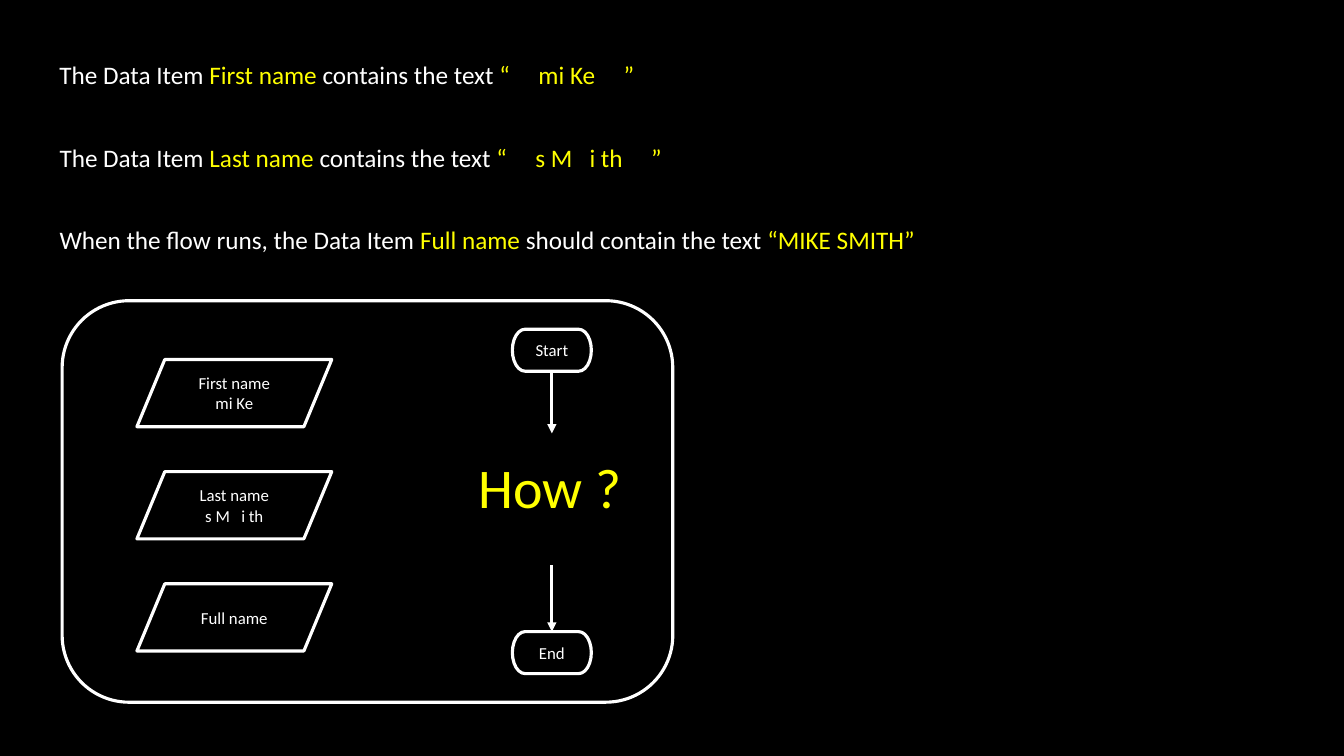
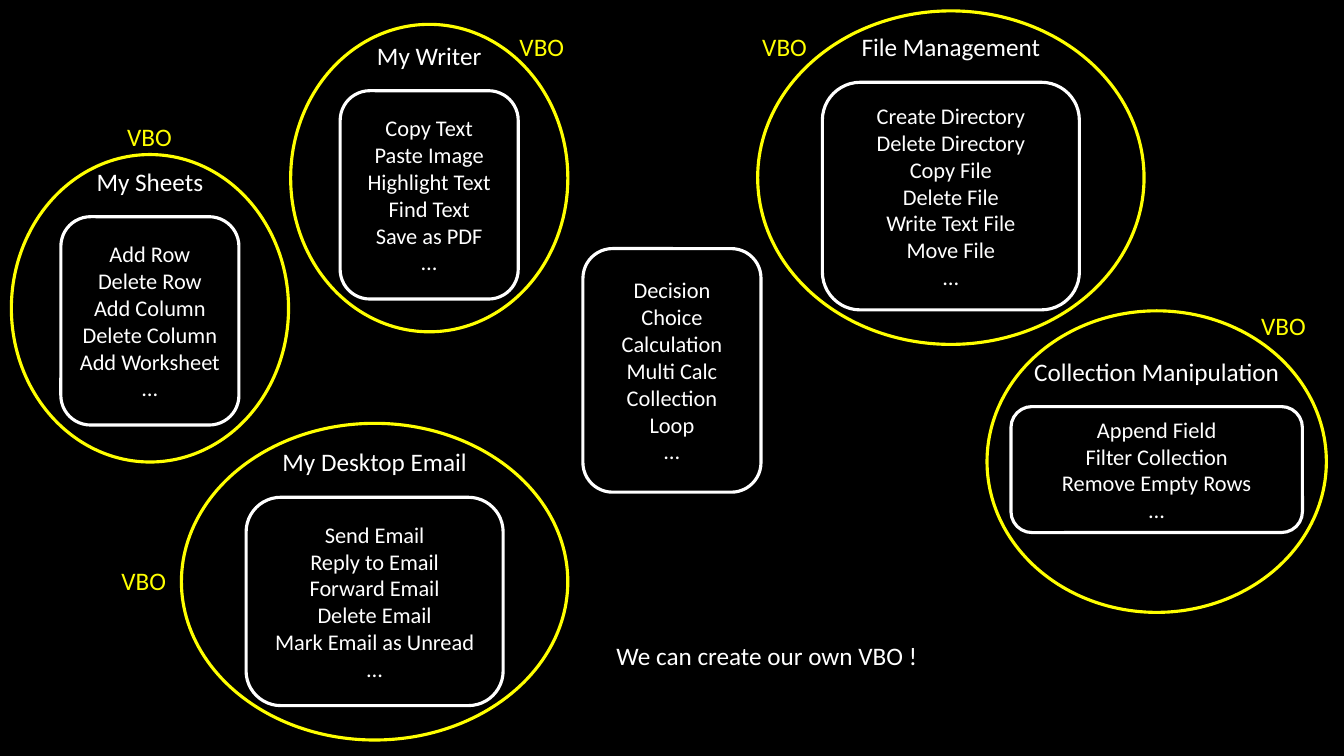
"""Build two dark slides: a text puzzle flow and a map of VBO actions."""
from dataclasses import dataclass

from lxml.etree import SubElement as Sub
from pptx import Presentation
from pptx.dml.color import RGBColor as Color
from pptx.enum.shapes import MSO_CONNECTOR as Link, MSO_SHAPE as Kind
from pptx.enum.text import MSO_ANCHOR as Anchor, MSO_AUTO_SIZE as Fit, PP_ALIGN as Align
from pptx.oxml.ns import qn
from pptx.util import Inches, Pt


@dataclass(frozen=True)
class Theme:
    back: Color = Color(0, 0, 0)
    main: Color = Color(255, 255, 255)
    glow: Color = Color(255, 255, 0)
    font: str = "Calibri"
    small: int = 12
    list: int = 16
    body: int = 18
    huge: int = 40
    line: float = 2.25


THEME = Theme()
WIDTH, HEIGHT = Inches(13.33), Inches(7.5)
COLS, ROWS = 160, 90
ROW = 4.8
PAD = " " * 5
FIRST, LAST = "mi Ke", "s M   i th"

GROUPS = [
    dict(title="My Sheets", mid=17.85, top=25.8, size=(21.2, 24.8),
         ring=(18.4, 33, 36.6), tag=(13.9, 13.9),
         acts=["Add Row", "Delete Row", "Add Column", "Delete Column", "Add Worksheet"]),
    dict(title="My Writer", mid=51.1, top=10.8, size=(21.2, 24.8),
         ring=(2.9, 33, 36.6), tag=(60.6, 3.2),
         acts=["Copy Text", "Paste Image", "Highlight Text", "Find Text", "Save as PDF"]),
    dict(title="My Desktop Email", mid=44.6, top=59.2, size=(30.6, 24.8),
         ring=(50.4, 46, 37.7), tag=(13.2, 66.7),
         acts=["Send Email", "Reply to Email", "Forward Email", "Delete Email",
               "Mark Email as Unread"]),
    dict(title="File Management", mid=113.2, top=9.8, size=(30.6, 27.1),
         ring=(1.3, 46, 39.7), tag=(89.5, 3.2),
         acts=["Create Directory", "Delete Directory", "Copy File", "Delete File",
               "Write Text File", "Move File"]),
    dict(title="Collection Manipulation", mid=137.7, top=48.4, size=(34.7, 15),
         ring=(37, 40.4, 35.9), tag=(148.9, 36.4),
         acts=["Append Field", "Filter Collection", "Remove Empty Rows"]),
]
STEPS = ["Decision", "Choice", "Calculation", "Multi Calc", "Collection", "Loop"]


def col(n):
    return round(WIDTH * n / COLS)


def row(n):
    return round(HEIGHT * n / ROWS)


def area(x, y, w, h):
    return col(x), row(y), col(w), row(h)


def write(frame, lines, size=THEME.body, color=THEME.main, align=Align.LEFT):
    for i, line in enumerate(lines):
        para = frame.paragraphs[0] if i == 0 else frame.add_paragraph()
        para.alignment = align
        for part in [(line, color)] if isinstance(line, str) else line:
            run = para.add_run()
            run.text, run.font.color.rgb = part
            run.font.name, run.font.size = THEME.font, Pt(size)


def label(slide, place, *lines, wrap=False, **style):
    frame = slide.shapes.add_textbox(*area(*place)).text_frame
    frame.word_wrap = wrap
    frame.auto_size = Fit.SHAPE_TO_FIT_TEXT
    write(frame, lines, **style)


def shape(slide, kind, place, lines=(), size=THEME.small, edge=THEME.main):
    item = slide.shapes.add_shape(kind, *area(*place))
    item.shadow.inherit = False
    item.fill.background()
    item.line.color.rgb, item.line.width = edge, Pt(THEME.line)
    item.text_frame.vertical_anchor = Anchor.MIDDLE
    write(item.text_frame, lines, size=size, align=Align.CENTER)
    return item


def arrow(slide, x, top, end):
    item = slide.shapes.add_connector(Link.STRAIGHT, col(x), row(top), col(x), row(end))
    item.line.color.rgb, item.line.width = THEME.main, Pt(THEME.line)
    Sub(item.line._get_or_add_ln(), qn("a:tailEnd"), type="triangle")
    Sub(item._element.spPr, qn("a:effectLst"))
    return item


def mixed(*parts):
    return [(part, (THEME.main, THEME.glow)[i % 2]) for i, part in enumerate(parts)]


def quote(text):
    return f"“{PAD}{text}{PAD}”"


def puzzle(slide):
    facts = [
        mixed("The Data Item ", "First name", " contains the text ", quote(FIRST)),
        mixed("The Data Item ", "Last name", " contains the text ", quote(LAST)),
        mixed("When the flow runs, the Data Item ", "Full name",
              " should contain the text ", "“MIKE SMITH”"),
    ]
    for i, (fact, wide) in enumerate(zip(facts, (73.2, 76.4, 107))):
        label(slide, (5.9, 6.5 + 9.8 * i, wide, ROW), fact)

    shape(slide, Kind.ROUNDED_RECTANGLE, (7.4, 35.8, 72.7, 47.8))
    items = [("First name", FIRST), ("Last name", LAST), ("Full name",)]
    for i, lines in enumerate(items):
        item = shape(slide, Kind.PARALLELOGRAM, (16.3, 42.8 + 13.35 * i, 23.2, 8), lines)
        item.adjustments[0] = 0.415

    mid, wide, high = 65.7, 9.4, 5
    start, end = [shape(slide, Kind.FLOWCHART_TERMINATOR,
                        (mid - wide / 2, y, wide, high), [name])
                  for name, y in (("Start", 39.2), ("End", 75.2))]
    arrow(slide, mid, 44.2, 51.6).begin_connect(start, 2)
    arrow(slide, mid, 67.3, 75.2).end_connect(end, 0)
    label(slide, (55.8, 53.3, 19.6, 9.2), "How ?", size=THEME.huge, color=THEME.glow)


def panel(slide, mid, top, size, acts):
    wide, high = size
    shape(slide, Kind.ROUNDED_RECTANGLE, (mid - wide / 2, top, wide, high),
          [*acts, "…"], size=THEME.list)


def group(slide, title, mid, top, size, ring, tag, acts):
    panel(slide, mid, top, size, acts)
    label(slide, (mid - size[0] / 2, top - 6.6, size[0], ROW), title, align=Align.CENTER)
    peak, wide, high = ring
    shape(slide, Kind.OVAL, (mid - wide / 2, peak, wide, high), edge=THEME.glow)
    label(slide, (*tag, 7.8, ROW), "VBO", color=THEME.glow, align=Align.CENTER)


def chart(slide):
    panel(slide, COLS / 2, 29.6, (21.2, 29), STEPS)
    for data in GROUPS:
        group(slide, **data)
    label(slide, (72.2, 75.6, 79.7, ROW), "We can create our own VBO !", wrap=True)


def main():
    deck = Presentation()
    deck.slide_width, deck.slide_height = WIDTH, HEIGHT
    fill = deck.slide_master.background.fill
    fill.solid()
    fill.fore_color.rgb = THEME.back
    for draw in (puzzle, chart):
        draw(deck.slides.add_slide(deck.slide_layouts[6]))
    deck.save("out.pptx")


if __name__ == "__main__":
    main()
